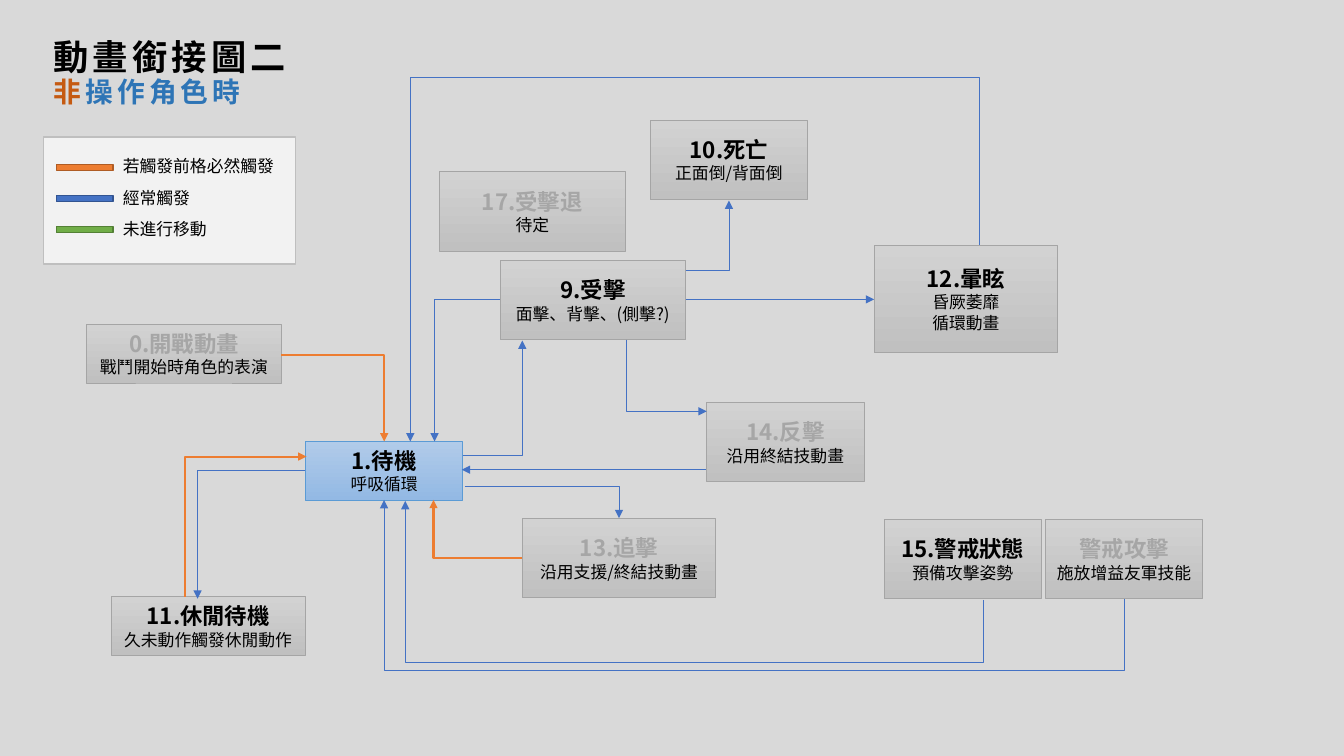
from lxml import etree
from pptx import Presentation
from pptx.dml.color import RGBColor
from pptx.enum.shapes import MSO_CONNECTOR as LINK, MSO_SHAPE as SHAPE
from pptx.enum.text import MSO_ANCHOR as ANCHOR, PP_ALIGN as ALIGN
from pptx.oxml.ns import qn
from pptx.util import Inches, Pt

FONT = "Noto Sans CJK SC"
BLACK, MUTED = "000000", "A6A6A6"
BLUE, ORANGE = "4472C4", "ED7D31"
GREY_FADE, BLUE_FADE = ("D2D2D2", "C0C0C0"), ("B1CBE9", "93B9E4")

# name, detail lines, (left, top, width, height), heading colour
STATES = [
    ("1.待機", ["呼吸循環"], (3.03, 4.38, 1.56, 0.58), BLACK),
    ("9.受擊", ["面擊、背擊、(側擊?)"], (4.96, 2.58, 1.84, 0.79), BLACK),
    ("10.死亡", ["正面倒/背面倒"], (6.45, 1.19, 1.56, 0.79), BLACK),
    ("12.暈眩", ["昏厥萎靡", "循環動畫"], (8.67, 2.43, 1.82, 1.07), BLACK),
    ("15.警戒狀態", ["預備攻擊姿勢"], (8.77, 5.15, 1.56, 0.79), BLACK),
    ("11.休閒待機", ["久未動作觸發休閒動作"], (1.1, 5.92, 1.93, 0.58), BLACK),
    ("0.開戰動畫", ["戰鬥開始時角色的表演"], (0.86, 3.22, 1.93, 0.58), MUTED),
    ("13.追擊", ["沿用支援/終結技動畫"], (5.18, 5.14, 1.92, 0.79), MUTED),
    ("14.反擊", ["沿用終結技動畫"], (7.01, 3.99, 1.56, 0.79), MUTED),
    ("警戒攻擊", ["施放增益友軍技能"], (10.37, 5.15, 1.56, 0.79), MUTED),
    ("17.受擊退", ["待定"], (4.36, 1.7, 1.84, 0.79), MUTED),
]

# Corner points from the first state to the next
OFTEN = [
    [(4.59, 4.52), (5.18, 4.52), (5.18, 3.38)],
    [(3.03, 4.67), (1.96, 4.67), (1.96, 5.94)],
    [(4.96, 2.97), (4.31, 2.97), (4.31, 4.38)],
    [(6.8, 2.68), (7.23, 2.68), (7.23, 1.99)],
    [(6.8, 2.97), (8.67, 2.97)],
    [(6.21, 3.37), (6.21, 4.08), (7.01, 4.08)],
    [(4.61, 4.83), (6.14, 4.83), (6.14, 5.14)],
    [(7, 4.66), (4.58, 4.66)],
    [(9.75, 5.95), (9.75, 6.57), (4.02, 6.57), (4.02, 4.97)],
    [(11.15, 5.94), (11.15, 6.65), (3.81, 6.65), (3.81, 4.96)],
    [(9.71, 2.43), (9.71, 0.77), (4.07, 0.77), (4.07, 4.38)],
]
ALWAYS = [
    [(2.79, 3.52), (3.81, 3.52), (3.81, 4.38)],
    [(1.83, 5.92), (1.83, 4.53), (3.04, 4.53)],
    [(5.18, 5.54), (4.3, 5.54), (4.3, 4.96)],
]


def rgb(code):
    return RGBColor.from_string(code)


def add_run(paragraph, text, size, color, bold=False, spacing=None):
    run = paragraph.add_run()
    run.text = text
    font = run.font
    font.name, font.size, font.bold = FONT, Pt(size), bold
    font.color.rgb = rgb(color)
    props = run._r.get_or_add_rPr()
    props.set("lang", "en-US")
    props.set("altLang", "zh-TW")
    etree.SubElement(props, qn("a:ea")).set("typeface", FONT)
    if spacing:
        props.set("spc", str(spacing * 100))


def add_box(slide, box, line, width, fill=None):
    """Add a rectangle; without a fill it is left for the caller to paint."""
    shape = slide.shapes.add_shape(SHAPE.RECTANGLE, *map(Inches, box))
    shape.shadow.inherit = False
    shape.line.color.rgb = rgb(line)
    shape.line.width = Pt(width)
    if fill:
        shape.fill.solid()
        shape.fill.fore_color.rgb = rgb(fill)
    return shape


def add_title(slide, box):
    frame = slide.shapes.add_textbox(*map(Inches, box)).text_frame
    frame.word_wrap = True
    frame.vertical_anchor = ANCHOR.MIDDLE
    heading = frame.paragraphs[0]
    heading.line_spacing = 0.9
    add_run(heading, "動畫銜接圖二", 25.2, BLACK, True, 3)
    heading.add_line_break()
    add_run(heading, "非", 19.8, "C55A11", True, 3)
    add_run(heading, "操作角色時", 19.8, "2E75B6", True, 3)


def add_legend(slide, box):
    left, top = box[:2]
    add_box(slide, box, "BFBFBF", 1, "F2F2F2")
    entries = [("若觸發前格必然觸發", ORANGE, "AF5C24"),
               ("經常觸發", BLUE, "325491"),
               ("未進行移動", "70AD47", "538035")]
    for row, (meaning, fill, line) in enumerate(entries):
        y = top + row * 0.31
        add_box(slide, (left + 0.13, y + 0.27, 0.56, 0.06), line, 1, fill)
        label = slide.shapes.add_textbox(
            *map(Inches, (left + 0.69, y + 0.14, 1.72, 0.3)))
        label.text_frame.word_wrap = False
        add_run(label.text_frame.paragraphs[0], meaning, 12, BLACK)


def add_state(slide, name, details, box, color, fade, line):
    state = add_box(slide, box, line, 0.5)
    state.fill.gradient()
    state.fill.gradient_angle = 270
    for stop, shade, position in zip(state.fill.gradient_stops, fade, (0, 1)):
        stop.color.rgb = rgb(shade)
        stop.position = position
    frame = state.text_frame
    frame.word_wrap = True
    frame.vertical_anchor = ANCHOR.MIDDLE
    frame.margin_left = frame.margin_right = Inches(0.05)
    heading = frame.paragraphs[0]
    heading.alignment = ALIGN.CENTER
    add_run(heading, name, 16, color, True)
    for detail in details:
        paragraph = frame.add_paragraph()
        paragraph.alignment = ALIGN.CENTER
        add_run(paragraph, detail, 12, BLACK)


def add_arrow(slide, points, color, width):
    """Draw a straight or elbow arrow; upright starts are turned by 90 degrees."""
    (x1, y1), (x2, y2) = points[0], points[-1]
    bends = len(points) - 2
    upright = bends and points[1][0] == x1
    ends = (x1, y1, x2, y2)
    if upright:
        cx, cy = (x1 + x2) / 2, (y1 + y2) / 2
        dx, dy = (x2 - x1) / 2, (y2 - y1) / 2
        ends = (cx - dy, cy + dx, cx + dy, cy - dx)
    arrow = slide.shapes.add_connector(
        LINK.ELBOW if bends else LINK.STRAIGHT, *map(Inches, ends))
    arrow.line.color.rgb = rgb(color)
    arrow.line.width = Pt(width)
    props = arrow._element.spPr
    if upright:
        props.find(qn("a:xfrm")).set("rot", "5400000")
    if bends:
        geometry = props.find(qn("a:prstGeom"))
        geometry.set("prst", f"bentConnector{bends + 1}")
        if bends == 2:
            turn = round((points[1][1] - y1) / (y2 - y1) * 100000)
            guide = etree.SubElement(geometry.find(qn("a:avLst")), qn("a:gd"))
            guide.set("name", "adj1")
            guide.set("fmla", f"val {turn}")
    etree.SubElement(arrow.line._get_or_add_ln(), qn("a:tailEnd")).set("type", "triangle")
    etree.SubElement(props, qn("a:effectLst"))


def add_diagram(slide):
    for index, state in enumerate(STATES):
        look = (GREY_FADE, "A5A5A5") if index else (BLUE_FADE, "5B9BD5")
        add_state(slide, *state, *look)
    for routes, color, width in ((OFTEN, BLUE, 0.5), (ALWAYS, ORANGE, 1.5)):
        for points in routes:
            add_arrow(slide, points, color, width)


def main():
    deck = Presentation()
    deck.slide_width, deck.slide_height = Inches(13.33), Inches(7.5)
    slide = deck.slides.add_slide(deck.slide_layouts[6])
    slide.background.fill.solid()
    slide.background.fill.fore_color.rgb = rgb("D9D9D9")
    add_legend(slide, (0.43, 1.36, 2.5, 1.26))
    add_title(slide, (0.43, 0.51, 11.5, 0.45))
    add_diagram(slide)
    deck.save("out.pptx")


if __name__ == "__main__":
    main()
